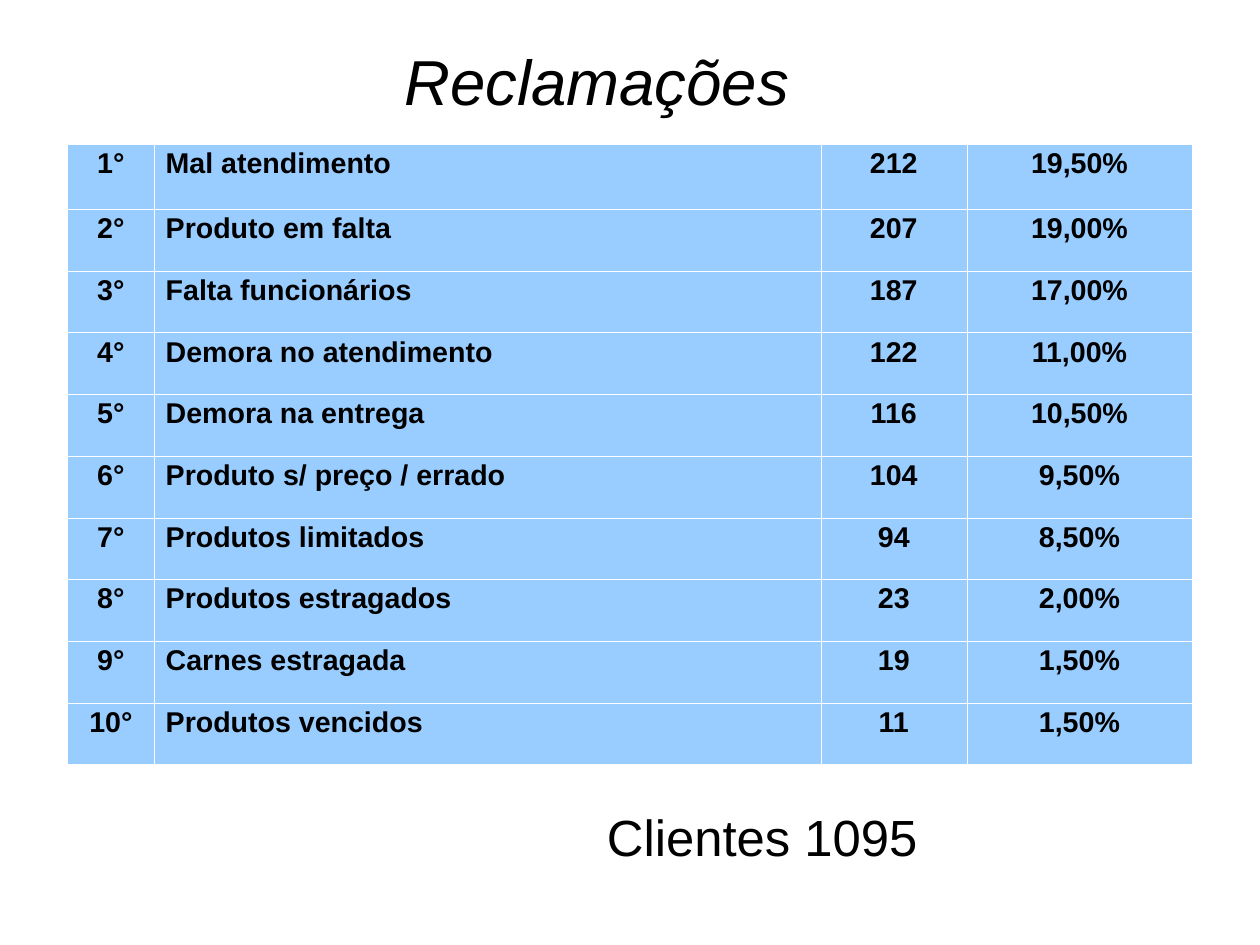
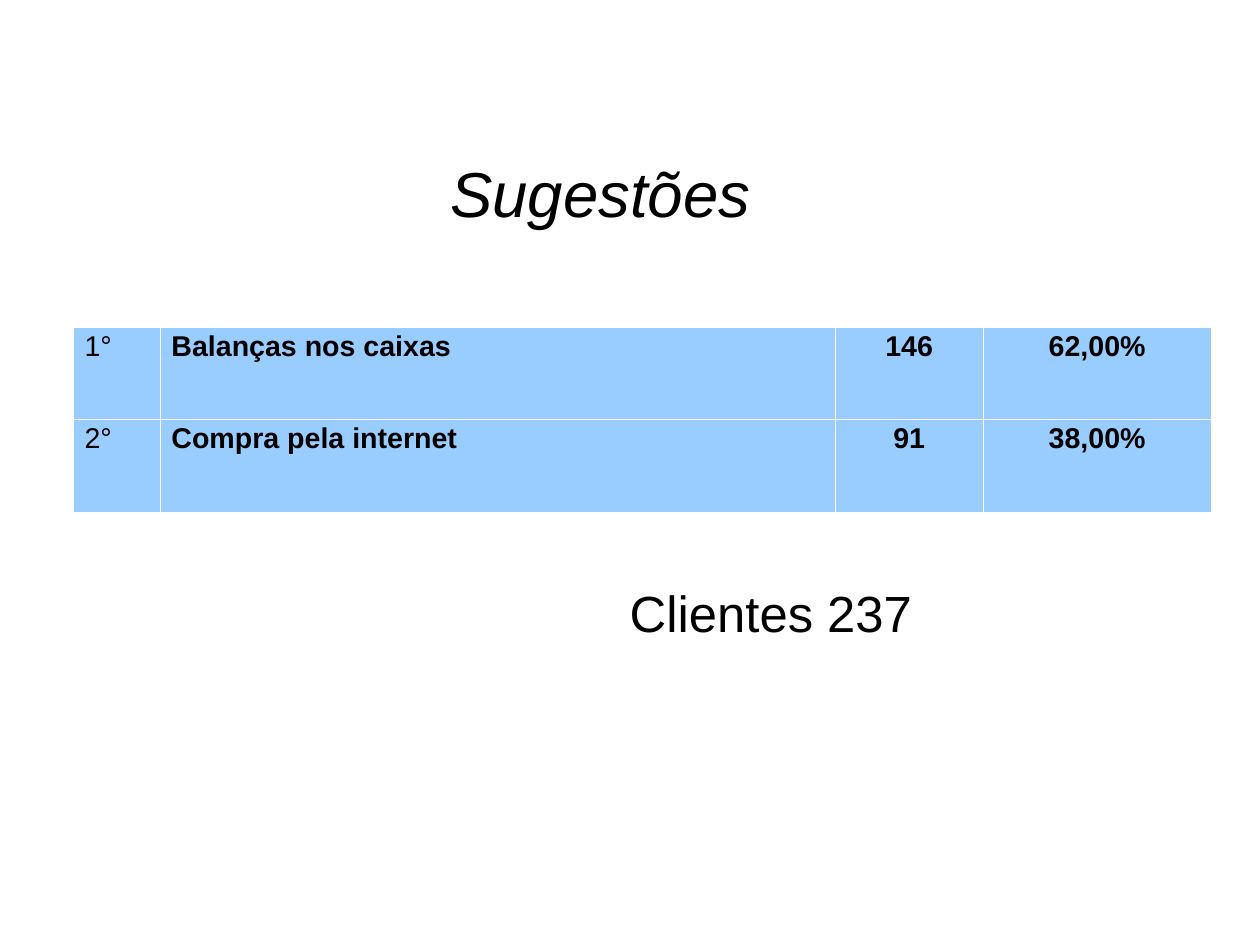
from lxml.etree import SubElement
from pptx import Presentation
from pptx.dml.color import RGBColor
from pptx.enum.text import MSO_ANCHOR, PP_ALIGN
from pptx.oxml.ns import qn
from pptx.util import Emu, Inches, Pt

BLACK = RGBColor(0x00, 0x00, 0x00)
WHITE = RGBColor(0xFF, 0xFF, 0xFF)
LIGHT_BLUE = RGBColor(0x99, 0xCC, 0xFF)
LINE_SPACING = 0.93

TITLE = {"size": Pt(40), "italic": True}
TOTAL = {"size": Pt(32), "italic": False}
CELL = {"size": Pt(18)}
CELL_MARGINS = {
    "margin_left": Inches(0.1),
    "margin_right": Inches(0.1),
    "margin_top": Inches(0.05),
    "margin_bottom": Inches(0.05),
}

SLIDES = [
    {
        "title": ("Reclamações", 2.95, 0.39, 0.98),
        "total": ("Clientes 1095", 4.72, 7.07, 0.98),
        "table_corner": (0.59, 1.26),
        "columns": [0.76, 5.83, 1.28, 1.97],
        "row_heights": [0.57] + [0.54] * 9,
        "rank_bold": True,
        "rank_alignment": PP_ALIGN.CENTER,
        "rows": [
            ("Mal atendimento", "212", "19,50%"),
            ("Produto em falta", "207", "19,00%"),
            ("Falta funcionários", "187", "17,00%"),
            ("Demora no atendimento", "122", "11,00%"),
            ("Demora na entrega", "116", "10,50%"),
            ("Produto s/ preço / errado", "104", "9,50%"),
            ("Produtos limitados", "94", "8,50%"),
            ("Produtos estragados", "23", "2,00%"),
            ("Carnes estragada", "19", "1,50%"),
            ("Produtos vencidos", "11", "1,50%"),
        ],
    },
    {
        "title": ("Sugestões", 3.35, 1.37, 1.38),
        "total": ("Clientes 237", 4.92, 5.11, 0.98),
        "table_corner": (0.64, 2.86),
        "columns": [0.76, 5.91, 1.29, 2],
        "row_heights": [0.81] * 2,
        "rank_bold": False,
        "rank_alignment": PP_ALIGN.LEFT,
        "rows": [
            ("Balanças nos caixas", "146", "62,00%"),
            ("Compra pela internet", "91", "38,00%"),
        ],
    },
]


def write(paragraph, text, values):
    """Put one run into the paragraph in the shared font, plus the given font values."""
    paragraph.line_spacing = LINE_SPACING
    run = paragraph.add_run()
    run.text = text
    run.font.name = "Arial"
    run.font.color.rgb = BLACK
    for name, value in values.items():
        setattr(run.font, name, value)


def add_cell_borders(cell):
    properties = cell._tc.get_or_add_tcPr()
    for position, side in enumerate(("lnL", "lnR", "lnT", "lnB")):
        line = properties.makeelement(qn(f"a:{side}"), {"w": str(Pt(0.06))})
        fill = SubElement(line, qn("a:solidFill"))
        SubElement(fill, qn("a:srgbClr"), val=str(WHITE))
        properties.insert(position, line)


presentation = Presentation()
# 28 by 21 cm, as LibreOffice Impress rounds it
presentation.slide_width = Emu(10080625)
presentation.slide_height = Emu(7559675)

for content in SLIDES:
    slide = presentation.slides.add_slide(presentation.slide_layouts[6])

    for role, values, margin_top in (("title", TITLE, 0.04), ("total", TOTAL, 0.03)):
        text, left, top, height = content[role]
        box = slide.shapes.add_textbox(Inches(left), Inches(top), Inches(4.53), Inches(height))
        frame = box.text_frame
        frame.word_wrap = True
        frame.vertical_anchor = MSO_ANCHOR.TOP
        frame.margin_left = frame.margin_right = frame.margin_bottom = 0
        frame.margin_top = Inches(margin_top)
        paragraph = frame.paragraphs[0]
        paragraph.space_after = Pt(11.4)
        indents = paragraph._p.get_or_add_pPr()
        indents.set("marL", str(Inches(0.94)))
        indents.set("indent", str(Inches(-0.35)))
        write(paragraph, text, values)

    rows, columns = content["rows"], content["columns"]
    heights = content["row_heights"]
    left, top = content["table_corner"]
    table = slide.shapes.add_table(
        len(rows), len(columns), Inches(left), Inches(top),
        Inches(sum(columns)), Inches(sum(heights)),
    ).table
    table.first_row = table.horz_banding = False
    for column, width in zip(table.columns, columns):
        column.width = Inches(width)
    for row, height in zip(table.rows, heights):
        row.height = Inches(height)

    alignments = [content["rank_alignment"], PP_ALIGN.LEFT, PP_ALIGN.CENTER, PP_ALIGN.CENTER]
    bolds = [content["rank_bold"], True, True, True]
    for row_index, row in enumerate(rows):
        texts = (f"{row_index + 1}°", *row)
        for column_index, text in enumerate(texts):
            cell = table.cell(row_index, column_index)
            cell.fill.solid()
            cell.fill.fore_color.rgb = LIGHT_BLUE
            for name, value in CELL_MARGINS.items():
                setattr(cell, name, value)
            add_cell_borders(cell)
            paragraph = cell.text_frame.paragraphs[0]
            paragraph.alignment = alignments[column_index]
            write(paragraph, text, {**CELL, "bold": bolds[column_index]})

presentation.save("out.pptx")
